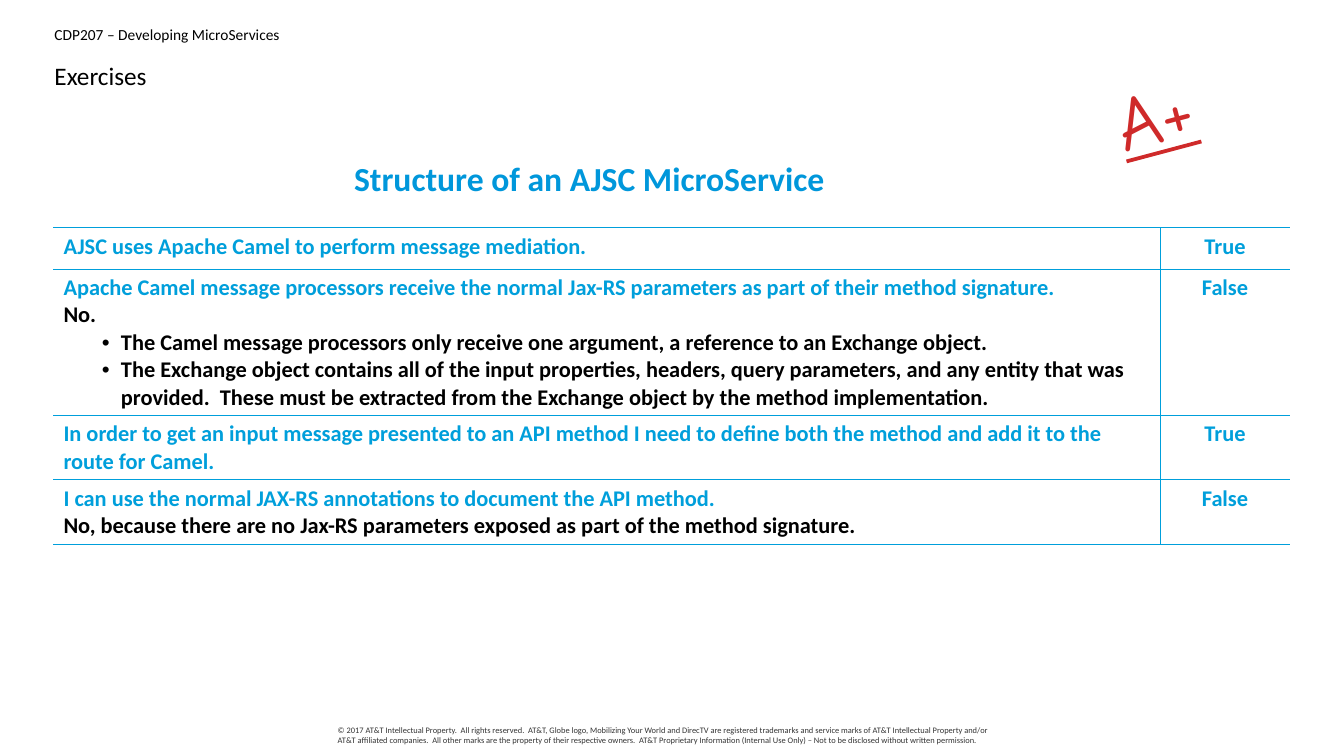
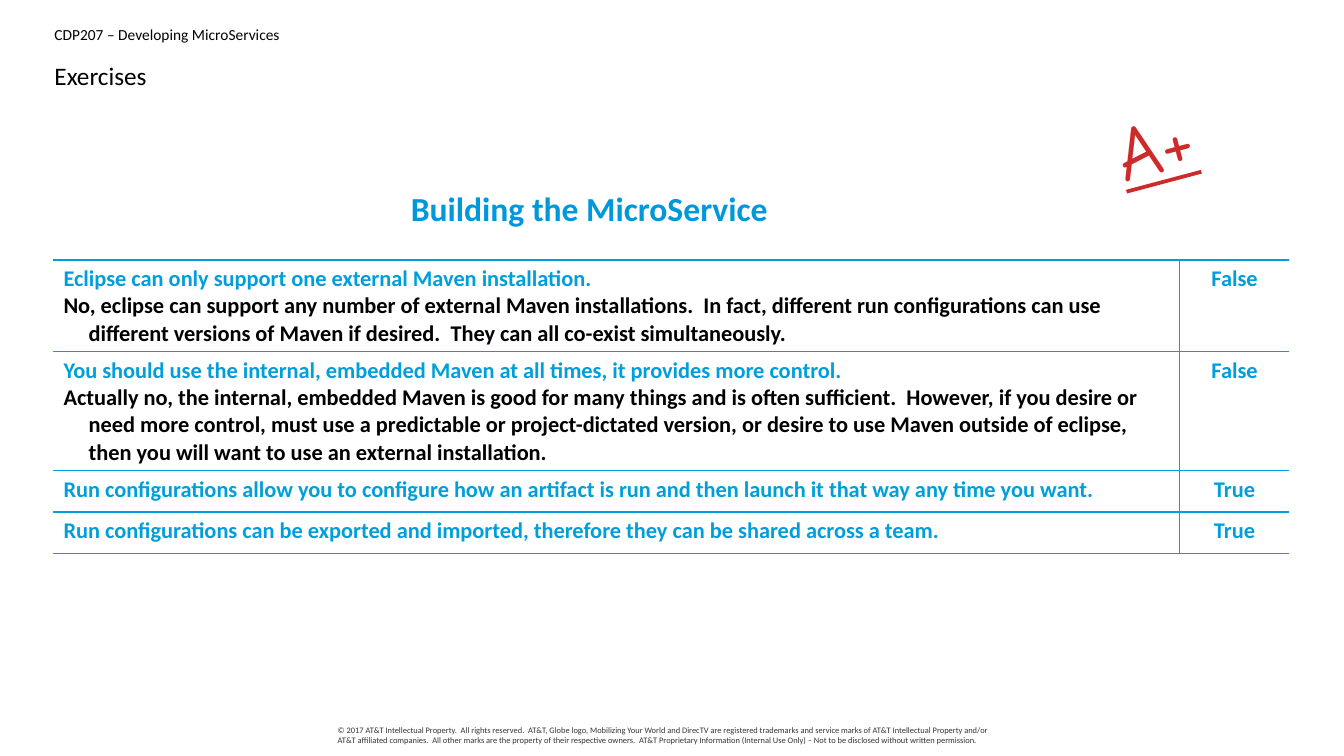
from lxml import etree
from pptx import Presentation
from pptx.dml.color import RGBColor
from pptx.enum import text
from pptx.oxml import ns
from pptx.util import Inches, Pt

# Shared content and style
COURSE = "CDP207 – Developing MicroServices"
COPYRIGHT = (
    "© 2017 AT&T Intellectual Property.  All rights reserved.  AT&T, Globe logo, "
    "Mobilizing Your World and DirecTV are registered trademarks and service marks of "
    "AT&T Intellectual Property and/or AT&T affiliated companies.  All other marks are "
    "the property of their respective owners.  AT&T Proprietary Information (Internal "
    "Use Only) – Not to be disclosed without written permission.")
BLACK, BLUE, HEADING, GREY, RED = "000000", "009FDB", "0097DB", "343434", "CF2A2A"
FONT = "Calibri"
LEFT, WIDTH = 0.54, 12.26

# Paragraph kinds: colour, left margin, first-line indent, bullet
KINDS = {
    "question": (BLUE, 0, 0, False),
    "plain": (BLACK, 0, 0, False),
    "hanging": (BLACK, 0.25, -0.25, False),
    "bullet": (BLACK, 0.57, -0.19, True),
}

# Each row: answer, number of text lines, paragraphs
SLIDES = [
    dict(heading="Structure of an AJSC MicroService", heading_top=1.52,
         table_top=2.26, answer_width=1.28, rows=[
        ("True", 1, [("question", "AJSC uses Apache Camel to perform message mediation.")]),
        ("False", 5, [
            ("question", "Apache Camel message processors receive the normal Jax-RS "
                         "parameters as part of their method signature."),
            ("hanging", "No."),
            ("bullet", "The Camel message processors only receive one argument, a "
                       "reference to an Exchange object."),
            ("bullet", "The Exchange object contains all of the input properties, headers, "
                       "query parameters, and any entity that was provided.  These must be "
                       "extracted from the Exchange object by the method implementation.")]),
        ("True", 2, [
            ("question", "In order to get an input message presented to an API method I need "
                         "to define both the method and add it to the route for Camel.")]),
        ("False", 2, [
            ("question", "I can use the normal JAX-RS annotations to document the API method."),
            ("plain", "No, because there are no Jax-RS parameters exposed as part of the "
                      "method signature.")]),
    ]),
    dict(heading="Building the MicroService", heading_top=1.82,
         table_top=2.58, answer_width=1.09, rows=[
        ("False", 3, [
            ("question", "Eclipse can only support one external Maven installation."),
            ("hanging", "No, eclipse can support any number of external Maven installations.  "
                        "In fact, different run configurations can use different versions of "
                        "Maven if desired.  They can all co-exist simultaneously.")]),
        ("False", 4, [
            ("question", "You should use the internal, embedded Maven at all times, it "
                         "provides more control."),
            ("hanging", "Actually no, the internal, embedded Maven is good for many things and "
                        "is often sufficient.  However, if you desire or need more control, "
                        "must use a predictable or project-dictated version, or desire to use "
                        "Maven outside of eclipse, then you will want to use an external "
                        "installation.")]),
        ("True", 1, [
            ("question", "Run configurations allow you to configure how an artifact is run and "
                         "then launch it that way any time you want.")]),
        ("True", 1, [
            ("question", "Run configurations can be exported and imported, therefore they can "
                         "be shared across a team.")]),
    ]),
]


def rgb(value):
    return RGBColor.from_string(value)


def style(p, size, color, bold=False, name=FONT):
    for r in p.runs:
        r.font.size, r.font.bold, r.font.name = Pt(size), bold, name
        r.font.color.rgb = rgb(color)


def add_text(slide, content, left, top, width, height, size, color,
             inset=True, wrap=True, **font):
    sp = slide.shapes.add_textbox(*map(Inches, (left, top, width, height)))
    tf = sp.text_frame
    tf.word_wrap = wrap
    if not inset:
        tf.margin_left = tf.margin_right = tf.margin_top = tf.margin_bottom = 0
    p = tf.paragraphs[0]
    p.text = content
    style(p, size, color, **font)
    return sp


def set_title(slide):
    sp = slide.shapes.title
    sp.left, sp.top, sp.width, sp.height = map(Inches, (LEFT, 0.57, WIDTH, 0.37))
    tf = sp.text_frame
    tf.text = "Exercises"
    tf.margin_left = tf.margin_right = tf.margin_top = tf.margin_bottom = 0
    tf.vertical_anchor = text.MSO_ANCHOR.TOP
    tf.auto_size = text.MSO_AUTO_SIZE.NONE
    p = tf.paragraphs[0]
    p.alignment = text.PP_ALIGN.LEFT
    p.line_spacing, p.space_after = 1.1, Pt(10)
    style(p, 18, BLACK)


def set_borders(cell, visible):
    """Draw the visible edges (of L, R, T, B) and hide the others."""
    pr = cell._tc.get_or_add_tcPr()
    for i, edge in enumerate("LRTB"):
        ln = etree.Element(ns.qn(f"a:ln{edge}"), w=str(Pt(1)))
        pr.insert(i, ln)
        if edge in visible:
            fill = etree.SubElement(ln, ns.qn("a:solidFill"))
            etree.SubElement(fill, ns.qn("a:srgbClr"), val=BLUE)
        else:
            etree.SubElement(ln, ns.qn("a:noFill"))


def fill_cell(cell, paragraphs, visible, align):
    cell.fill.background()
    set_borders(cell, visible)
    tf = cell.text_frame
    tf.text = "\n".join(content for _, content in paragraphs)
    for p, (kind, _) in zip(tf.paragraphs, paragraphs):
        color, margin, indent, bullet = KINDS[kind]
        p.alignment = align
        pr = p._p.get_or_add_pPr()
        pr.set("marL", str(Inches(margin)))
        pr.set("indent", str(Inches(indent)))
        if bullet:
            etree.SubElement(pr, ns.qn("a:buFont"), typeface="Arial")
            etree.SubElement(pr, ns.qn("a:buChar"), char="•")
        style(p, 16, color, bold=True)


def add_answers(slide, rows, top, answer_width):
    heights = [max(0.41, 0.1 + 0.27 * lines) for _, lines, _ in rows]
    table = slide.shapes.add_table(
        len(rows), 2, *map(Inches, (0.53, top, WIDTH, sum(heights)))).table
    table.first_row = table.horz_banding = False
    table.columns[0].width = Inches(WIDTH - answer_width)
    table.columns[1].width = Inches(answer_width)
    for i, (answer, _, paragraphs) in enumerate(rows):
        table.rows[i].height = Inches(heights[i])
        fill_cell(table.cell(i, 0), paragraphs, "RTB", text.PP_ALIGN.LEFT)
        fill_cell(table.cell(i, 1), [("question", answer)], "LTB", text.PP_ALIGN.CENTER)


def build_slide(prs, heading, heading_top, table_top, answer_width, rows):
    slide = prs.slides.add_slide(prs.slide_layouts[5])
    # Course line, copyright line and title
    add_text(slide, COURSE, LEFT, 0.25, WIDTH, 0.2, 11, BLACK, inset=False)
    add_text(slide, COPYRIGHT, 3.35, 7.19, 6.64, 0.24, 6, GREY, inset=False)
    set_title(slide)
    # Questions and answers
    add_answers(slide, rows, table_top, answer_width)
    # Heading and grade mark
    sp = add_text(slide, heading, 3.39, heading_top, 4.91, 0.5, 24, HEADING,
                  wrap=False, bold=True)
    sp.text_frame.paragraphs[0].alignment = text.PP_ALIGN.CENTER
    grade = add_text(slide, "A+", 11.05, heading_top - 0.91, 1.26, 0.89, 54, RED,
                     inset=False, name="Comic Neue")
    grade.rotation = 345.1
    grade.text_frame.paragraphs[0].runs[0].font.underline = True


def main():
    prs = Presentation()
    prs.slide_width, prs.slide_height = Inches(13.33), Inches(7.5)
    for content in SLIDES:
        build_slide(prs, **content)
    prs.save("out.pptx")


if __name__ == "__main__":
    main()
